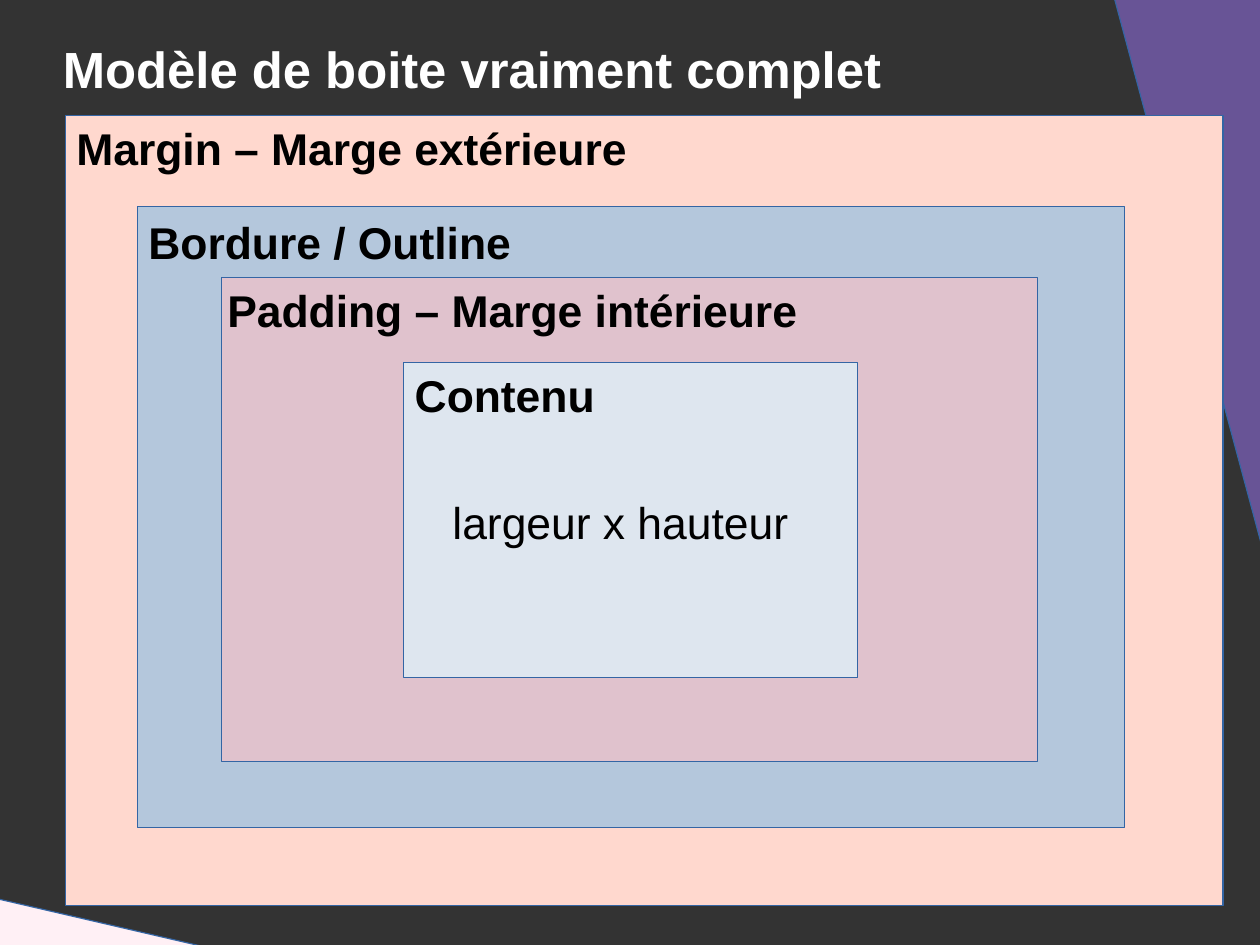
from dataclasses import dataclass

from pptx import Presentation
from pptx import util as u
from pptx.dml.color import RGBColor
from pptx.enum import shapes, text

CHARCOAL = RGBColor(0x33, 0x33, 0x33)
PURPLE = RGBColor(0x68, 0x54, 0x96)
LAVENDER = RGBColor(0xFF, 0xF0, 0xF5)
PEACH = RGBColor(0xFF, 0xD8, 0xCE)
STEEL = RGBColor(0xB4, 0xC7, 0xDC)
ROSE = RGBColor(0xE0, 0xC2, 0xCD)
MIST = RGBColor(0xDE, 0xE6, 0xEF)
OUTLINE = RGBColor(0x34, 0x65, 0xA4)
BLACK = RGBColor(0x00, 0x00, 0x00)
WHITE = RGBColor(0xFF, 0xFF, 0xFF)

CM_PER_INCH = 2.54
PAGE_WIDTH = 28 / CM_PER_INCH
PAGE_HEIGHT = 21 / CM_PER_INCH

RECTANGLE = shapes.MSO_SHAPE.RECTANGLE
TRIANGLE = shapes.MSO_SHAPE.RIGHT_TRIANGLE


@dataclass(frozen=True)
class Area:
    left: float
    top: float
    width: float
    height: float

    def lengths(self) -> list[int]:
        return [u.Inches(n) for n in (self.left, self.top, self.width, self.height)]


@dataclass(frozen=True)
class Panel:
    area: Area
    fill: RGBColor
    preset: shapes.MSO_SHAPE = RECTANGLE
    rotation: float = 0


@dataclass(frozen=True)
class Caption:
    words: str
    area: Area
    size: int = 28
    color: RGBColor = BLACK
    bold: bool = True
    inset_x: float = 0.1
    inset_y: float = 0.05
    anchor: text.MSO_ANCHOR = text.MSO_ANCHOR.TOP


PANELS = [
    Panel(Area(9.56, -0.72, 1.54, 5.72), PURPLE, TRIANGLE, 180),
    Panel(Area(-0.73, 7.7, 6.9, 1.6), LAVENDER, TRIANGLE),
    Panel(Area(0.57, 1.01, 10.13, 6.91), PEACH),
    Panel(Area(1.2, 1.81, 8.64, 5.43), STEEL),
    Panel(Area(1.94, 2.43, 7.14, 4.23), ROSE),
    Panel(Area(3.53, 3.17, 3.97, 2.76), MIST),
]

CAPTIONS = [
    Caption("Modèle de boite vraiment complet", Area(0.55, 0.33, 9.92, 0.54),
            size=32, color=WHITE, inset_x=0, inset_y=0,
            anchor=text.MSO_ANCHOR.MIDDLE),
    Caption("Margin – Marge extérieure", Area(0.57, 1.01, 6.61, 0.53)),
    Caption("Bordure / Outline", Area(1.2, 1.83, 6.61, 0.53)),
    Caption("Padding – Marge intérieure", Area(1.89, 2.43, 6.61, 0.53)),
    Caption("Contenu", Area(3.53, 3.17, 6.55, 0.59)),
    Caption("largeur x hauteur", Area(3.86, 4.28, 3.31, 0.53), bold=False),
]


def apply_format(target: object, values: dict[str, object]) -> None:
    for name, value in values.items():
        setattr(target, name, value)


def draw_panel(page, panel: Panel) -> None:
    shape = page.shapes.add_shape(panel.preset, *panel.area.lengths())
    shape.rotation = panel.rotation
    shape.shadow.inherit = False
    shape.fill.solid()
    shape.fill.fore_color.rgb = panel.fill
    shape.line.color.rgb = OUTLINE
    shape.line.width = u.Pt(0)


def draw_caption(page, caption: Caption) -> None:
    box = page.shapes.add_textbox(*caption.area.lengths())
    frame = box.text_frame
    apply_format(frame, {
        "word_wrap": True,
        "vertical_anchor": caption.anchor,
        "margin_left": u.Inches(caption.inset_x),
        "margin_right": u.Inches(caption.inset_x),
        "margin_top": u.Inches(caption.inset_y),
        "margin_bottom": u.Inches(caption.inset_y),
    })
    para = frame.paragraphs[0]
    para.alignment = text.PP_ALIGN.LEFT
    span = para.add_run()
    span.text = caption.words
    apply_format(span.font, {
        "name": "Arial",
        "size": u.Pt(caption.size),
        "bold": caption.bold,
    })
    span.font.color.rgb = caption.color


def main() -> None:
    deck = Presentation()
    apply_format(deck, {
        "slide_width": u.Inches(PAGE_WIDTH),
        "slide_height": u.Inches(PAGE_HEIGHT),
    })
    page = deck.slides.add_slide(deck.slide_layouts[6])
    page.background.fill.solid()
    page.background.fill.fore_color.rgb = CHARCOAL
    for panel in PANELS:
        draw_panel(page, panel)
    for caption in CAPTIONS:
        draw_caption(page, caption)
    deck.save("out.pptx")


if __name__ == "__main__":
    main()
